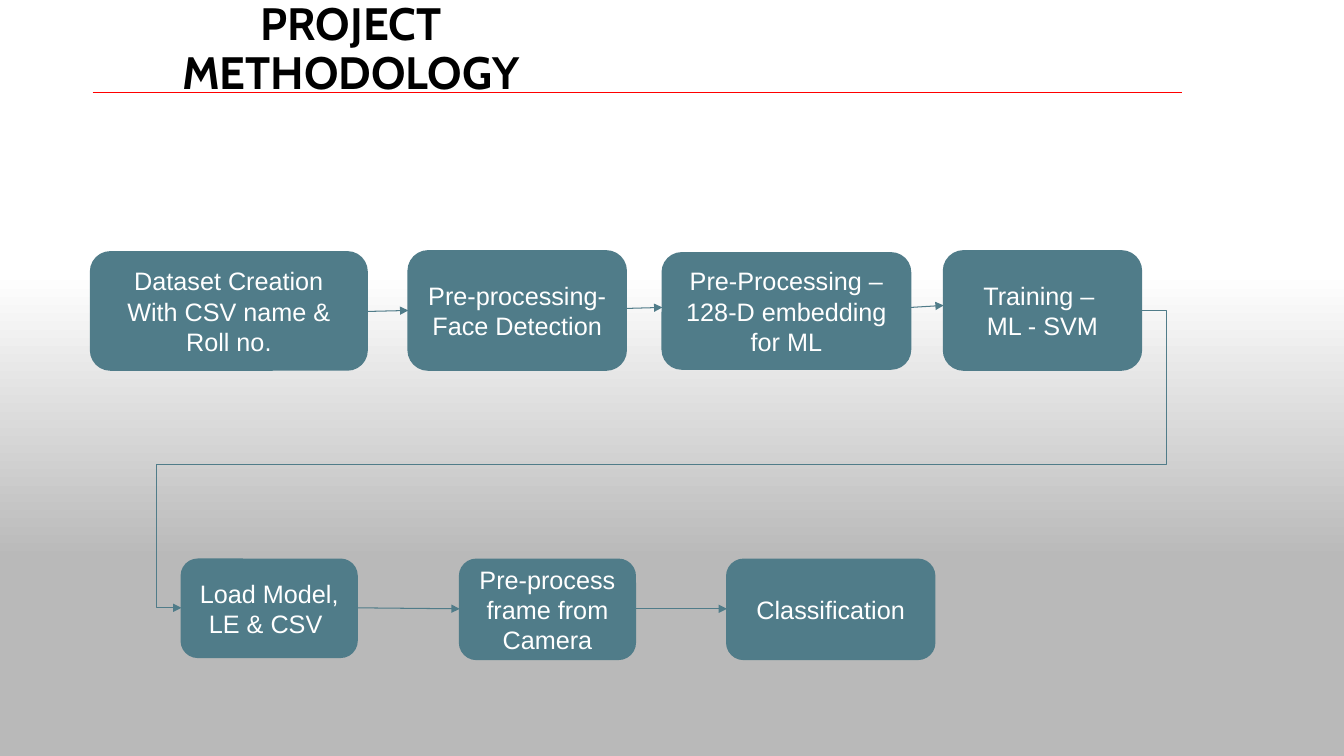
import pptx
import pptx.util
import pptx.dml.color
import pptx.enum.shapes
import pptx.enum.text
import pptx.oxml
import pptx.oxml.ns

COLORS = {"teal": "507C89", "red": "FF0000", "black": "000000",
          "white": "FFFFFF", "grey": "B9B9B9"}
TITLE = "PROJECT METHODOLOGY"

# Each step: text, left, top, width, height
TRAINING_STEPS = [
    ("Dataset Creation\nWith CSV name & Roll no.", 0.9, 2.5, 2.74, 1.17),
    ("Pre-processing-\nFace Detection", 4.05, 2.49, 2.16, 1.18),
    ("Pre-Processing – 128-D embedding for ML", 6.57, 2.51, 2.46, 1.15),
    ("Training – \nML - SVM", 9.36, 2.49, 1.96, 1.18),
]
RECOGNITION_STEPS = [
    ("Load Model, LE & CSV ", 1.8, 5.55, 1.74, 0.97),
    ("Pre-process frame from Camera", 4.56, 5.55, 1.74, 0.99),
    ("Classification", 7.21, 5.55, 2.06, 0.99),
]
# Start and end heights of the arrows between neighbouring steps
TRAINING_ARROWS = [(3.09, 3.08), (3.06, 3.05), (3.05, 3.03)]
RECOGNITION_ARROWS = [(6.03, 6.04), (6.04, 6.04)]
RETURN_HEIGHTS = (3.08, 6.03)
RETURN_BENDS = (-2600, 51800, 102600)

Inches = pptx.util.Inches
Shapes = pptx.enum.shapes
qn = pptx.oxml.ns.qn


def rgb(name):
    return pptx.dml.color.RGBColor.from_string(COLORS[name])


def write(shape, text, size=18, font="Arial", color="white", bold=False, spacing=1.0):
    frame = shape.text_frame
    frame.text = text
    frame.word_wrap = True
    frame.auto_size = pptx.enum.text.MSO_AUTO_SIZE.NONE
    frame.vertical_anchor = pptx.enum.text.MSO_ANCHOR.MIDDLE
    for paragraph in frame.paragraphs:
        paragraph.alignment = pptx.enum.text.PP_ALIGN.CENTER
        paragraph.line_spacing = spacing
        for run in paragraph.runs:
            run.font.size = pptx.util.Pt(size)
            run.font.name = font
            run.font.bold = bold
            run.font.color.rgb = rgb(color)


def add_line(slide, start, end, color="teal", arrow=True, bends=None):
    """Draw a straight line, or a five-part elbow if bends are given."""
    kind = Shapes.MSO_CONNECTOR.ELBOW if bends else Shapes.MSO_CONNECTOR.STRAIGHT
    line = slide.shapes.add_connector(kind, *map(Inches, start + end))
    line.line.color.rgb = rgb(color)
    line.line.width = pptx.util.Pt(0.75)
    properties = line._element.spPr
    if arrow:
        pptx.oxml.ns  # arrowheads have no public setter
        head = properties.find(qn("a:ln")).makeelement(qn("a:tailEnd"), {"type": "triangle"})
        properties.find(qn("a:ln")).append(head)
    properties.append(properties.makeelement(qn("a:effectLst"), {}))
    if bends:
        geometry = properties.find(qn("a:prstGeom"))
        geometry.set("prst", "bentConnector5")
        adjustments = geometry.find(qn("a:avLst"))
        for number, bend in enumerate(bends, 1):
            adjustments.append(adjustments.makeelement(
                qn("a:gd"), {"name": f"adj{number}", "fmla": f"val {bend}"}))


def add_step(slide, text, *box):
    step = slide.shapes.add_shape(Shapes.MSO_SHAPE.ROUNDED_RECTANGLE, *map(Inches, box))
    step.shadow.inherit = False
    step.fill.solid()
    step.fill.fore_color.rgb = rgb("teal")
    step.line.color.rgb = rgb("teal")
    step.line.width = pptx.util.Pt(1.25)
    write(step, text)


def right_edge(step):
    return step[1] + step[3]


def add_flow(slide, steps, arrow_heights):
    for step in steps:
        add_step(slide, *step)
    for step, following, (start_y, end_y) in zip(steps, steps[1:], arrow_heights):
        add_line(slide, (right_edge(step), start_y), (following[1], end_y))


def main():
    deck = pptx.Presentation()
    deck.slide_width, deck.slide_height = Inches(13.33), Inches(7.5)
    slide = deck.slides.add_slide(deck.slide_layouts[5])

    backdrop = slide.background.fill
    backdrop.gradient()
    backdrop.gradient_angle = 270
    for stop, (position, color) in zip(backdrop.gradient_stops,
                                       [(0.36, "white"), (0.74, "grey")]):
        stop.position = position
        stop.color.rgb = rgb(color)

    add_line(slide, (0.92, 0.92), (11.72, 0.92), color="red", arrow=False)
    title = slide.shapes.title
    title.left, title.top, title.width, title.height = map(Inches, (0.9, 0.13, 5.16, 0.73))
    write(title, TITLE, size=32.4, font="Cabin", color="black", bold=True, spacing=0.9)

    add_flow(slide, TRAINING_STEPS, TRAINING_ARROWS)
    add_flow(slide, RECOGNITION_STEPS, RECOGNITION_ARROWS)
    add_line(slide, (right_edge(TRAINING_STEPS[-1]), RETURN_HEIGHTS[0]),
             (RECOGNITION_STEPS[0][1], RETURN_HEIGHTS[1]), bends=RETURN_BENDS)
    deck.save("out.pptx")


if __name__ == "__main__":
    main()
